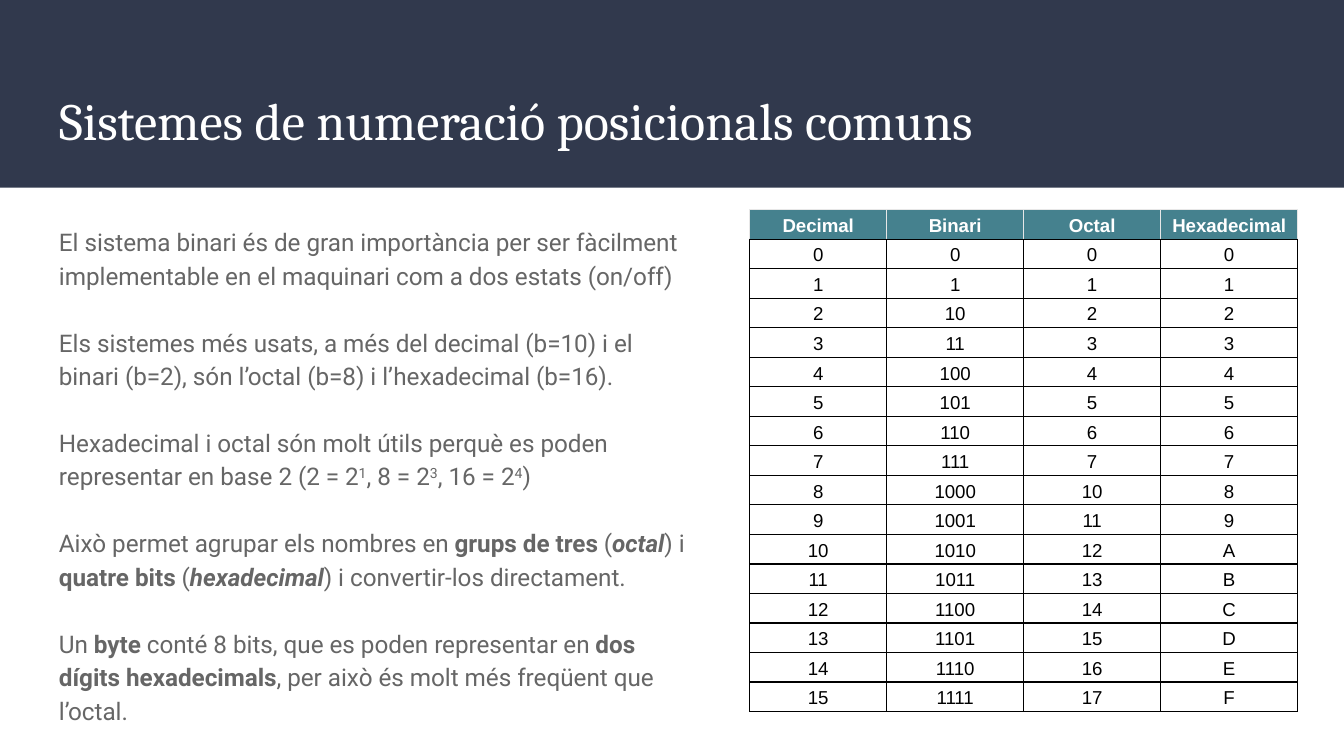
from dataclasses import dataclass

from lxml.etree import SubElement as Sub
from pptx import Presentation
from pptx.dml.color import RGBColor as RGB
from pptx.enum.shapes import MSO_SHAPE as Shape
from pptx.enum.text import MSO_ANCHOR as Anchor, MSO_AUTO_SIZE as Auto, PP_ALIGN as Align
from pptx.oxml.ns import qn
from pptx.util import Pt


@dataclass(frozen=True)
class Theme:
    navy: str = "31394D"
    teal: str = "45818E"
    white: str = "FFFFFF"
    black: str = "000000"
    gray: str = "666666"
    pale: str = "E7E7E7"
    head_font: str = "Cambria"
    body_font: str = "Roboto"
    grid_font: str = "Arial"
    head_size: float = 28
    body_size: float = 13
    grid_size: float = 10
    leading: float = 1.15
    inset: float = 7.2
    rule: float = 0.75


class Deck:
    def __init__(self, theme, width, height):
        self.theme = theme
        self.file = Presentation()
        self.file.slide_width, self.file.slide_height = Pt(width), Pt(height)
        self.slide = self.file.slides.add_slide(self.file.slide_layouts[5])

    def font(self, para, name, size, color, bold=False):
        font = para.font
        font.name, font.size, font.bold = name, Pt(size), bold
        font.color.rgb = RGB.from_string(color)

    def frame(self, shape, anchor):
        frame = shape.text_frame
        frame.word_wrap, frame.auto_size = True, Auto.NONE
        frame.vertical_anchor = anchor
        frame.margin_left = frame.margin_right = Pt(self.theme.inset)
        frame.margin_top = frame.margin_bottom = Pt(self.theme.inset)
        return frame

    def band(self, box, color):
        """Add a plain rectangle behind everything else."""
        band = self.slide.shapes.add_shape(Shape.RECTANGLE, *map(Pt, box))
        band.shadow.inherit = False
        band.fill.solid()
        band.fill.fore_color.rgb = RGB.from_string(color)
        band.line.fill.background()
        band.element.getparent().insert(2, band.element)

    def title(self, box, text):
        style, title = self.theme, self.slide.shapes.title
        title.left, title.top, title.width, title.height = map(Pt, box)
        frame = self.frame(title, Anchor.MIDDLE)
        frame.text = text
        para = frame.paragraphs[0]
        para.alignment = Align.LEFT
        self.font(para, style.head_font, style.head_size, style.white)

    def text(self, box, paras, gap):
        """Add paragraphs of (text, marks) runs: b bold, i italic, ^ raised."""
        style = self.theme
        frame = self.frame(self.slide.shapes.add_textbox(*map(Pt, box)), Anchor.TOP)
        for num, runs in enumerate(paras):
            para = frame.add_paragraph() if num else frame.paragraphs[0]
            para.line_spacing = style.leading
            para.space_before = Pt(gap if num else 0)
            self.font(para, style.body_font, style.body_size, style.gray)
            for words, marks in runs:
                run = para.add_run()
                run.text = words
                if "b" in marks:
                    run.font.bold = True
                if "i" in marks:
                    run.font.italic = True
                if "^" in marks:
                    run.font._element.set("baseline", "30000")

    def edge(self, cell, side, color):
        line = Sub(cell._tc.get_or_add_tcPr(), qn(f"a:ln{side}"), w=str(Pt(self.theme.rule)))
        fill = Sub(line, qn("a:solidFill"))
        Sub(fill, qn("a:srgbClr"), val=color)

    def cell(self, cell, text, head):
        style = self.theme
        cell.margin_left = cell.margin_right = Pt(2)
        cell.margin_top = cell.margin_bottom = Pt(1.4)
        cell.vertical_anchor = Anchor.MIDDLE
        cell.text = text
        para = cell.text_frame.paragraphs[0]
        para.alignment, para.line_spacing = Align.CENTER, style.leading
        ink = style.white if head else style.black
        self.font(para, style.grid_font, style.grid_size, ink, head)
        for side in "LRTB":
            self.edge(cell, side, style.pale if head and side != "B" else style.black)
        if head:
            cell.fill.solid()
            cell.fill.fore_color.rgb = RGB.from_string(style.teal)
        else:
            cell.fill.background()

    def table(self, left, top, wide, high, rows):
        """Add a table of equal cells, each wide by high."""
        count, cols = len(rows), len(rows[0])
        grid = self.slide.shapes.add_table(
            count, cols, Pt(left), Pt(top), Pt(wide * cols), Pt(high * count)).table
        grid.horz_banding = False
        for row in grid.rows:
            row.height = Pt(high)
        for y, row in enumerate(rows):
            for x, text in enumerate(row):
                self.cell(grid.cell(y, x), text, y == 0)


PARAS = [
    [("El sistema binari és de gran importància per ser fàcilment "
      "implementable en el maquinari com a dos estats (on/off)", "")],
    [("Els sistemes més usats, a més del decimal (b=10) i el binari (b=2), "
      "són l’octal (b=8) i l’hexadecimal (b=16).", "")],
    [("Hexadecimal i octal són molt útils perquè es poden representar en base 2 (2 = 2", ""),
     ("1", "^"), (", 8 = 2", ""), ("3", "^"), (", 16 = 2", ""), ("4", "^"), (")", "")],
    [("Això permet agrupar els nombres en ", ""), ("grups de tres", "b"), (" (", ""),
     ("octal", "bi"), (") i ", ""), ("quatre bits", "b"), (" (", ""),
     ("hexadecimal", "bi"), (") i convertir-los directament.", "")],
    [("Un ", ""), ("byte ", "b"), ("conté 8 bits, que es poden representar en ", ""),
     ("dos dígits hexadecimals", "b"),
     (", per això és molt més freqüent que l’octal.", "")],
]
HEADS = ["Decimal", "Binari", "Octal", "Hexadecimal"]


def main():
    theme = Theme()
    deck = Deck(theme, 720, 405)
    deck.band((0, 0, 720, 100.5), theme.navy)
    deck.title((24.5, 39.6, 671, 49), "Sistemes de numeració posicionals comuns")
    rows = [[format(num, base) for base in "dboX"] for num in range(16)]
    deck.table(401.6, 112.3, 73.4, 15.84, [HEADS] + rows)
    deck.text((24.5, 112.3, 351.4, 280.8), PARAS, gap=17.9)
    deck.file.save("out.pptx")


if __name__ == "__main__":
    main()
